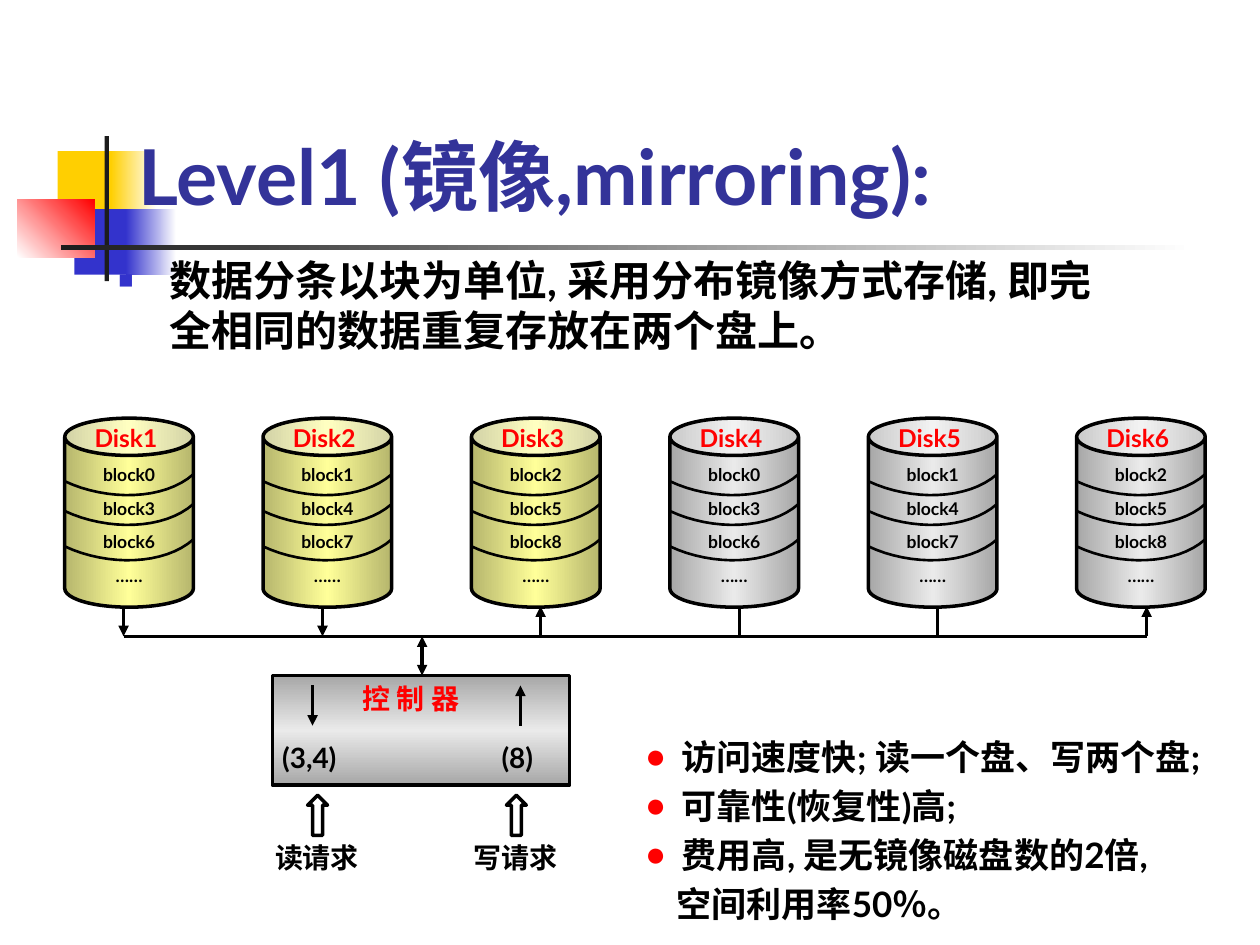
from dataclasses import dataclass

from pptx import Presentation
from pptx.dml.color import RGBColor
from pptx.enum.shapes import MSO_CONNECTOR, MSO_SHAPE
from pptx.enum.text import MSO_ANCHOR, MSO_AUTO_SIZE, PP_ALIGN
from pptx.oxml import parse_xml
from pptx.oxml.ns import nsdecls, qn
from pptx.util import Pt


@dataclass(frozen=True)
class Theme:
    font: str = "Lato"
    black: str = "000000"
    white: str = "FFFFFF"
    red: str = "FF0000"
    yellow: str = "FFCF01"
    blue: str = "3333CC"
    charcoal: str = "1C1C1C"
    title: str = "333399"
    data_disk: tuple = ("B6B66D", "FFFF99", "B6B66D")
    gray_metal: tuple = ("A7A7A7", "EAEAEA", "A7A7A7")
    title_size: int = 44
    body_size: int = 24
    list_size: int = 20
    label_size: int = 16
    disk_size: int = 14
    block_size: int = 10


THEME = Theme()


def write_text(frame, lines, size, color=THEME.black, align=PP_ALIGN.LEFT,
               anchor=MSO_ANCHOR.TOP, wrap=False, margins=(0, 0, 0, 0),
               spacing=1.0, gap=0, indent=0, bullet=None, bullet_color=None,
               bullet_percent=100):
    """Fill a frame; a line given as (text, left margin) has no bullet."""
    frame.auto_size = MSO_AUTO_SIZE.NONE
    frame.word_wrap = wrap
    frame.vertical_anchor = anchor
    (frame.margin_left, frame.margin_top,
     frame.margin_right, frame.margin_bottom) = map(Pt, margins)
    for index, line in enumerate(lines):
        plain = isinstance(line, tuple)
        text, left = line if plain else (line, indent)
        paragraph = frame.paragraphs[0] if index == 0 else frame.add_paragraph()
        paragraph.alignment = align
        paragraph.line_spacing = spacing
        paragraph.space_before = Pt(gap if index else 0)
        properties = paragraph._p.get_or_add_pPr()
        properties.set("marL", str(Pt(left)))
        properties.set("indent", str(0 if plain else -Pt(left)))
        if bullet and not plain:
            for tag in (f'<a:buClr {nsdecls("a")}><a:srgbClr val="{bullet_color}"/></a:buClr>',
                        f'<a:buSzPct {nsdecls("a")} val="{bullet_percent * 1000}"/>',
                        f'<a:buChar {nsdecls("a")} char="{bullet}"/>'):
                properties.append(parse_xml(tag))
        else:
            properties.append(parse_xml(f'<a:buNone {nsdecls("a")}/>'))
        run = paragraph.add_run()
        run.text = text
        run.font.name = THEME.font
        run.font.size = Pt(size)
        run.font.bold = True
        run.font.color.rgb = RGBColor.from_string(color)


def paint(shape, colors=(), angle=0, line_width=0):
    """No colour leaves the shape open, one is solid, more are a gradient."""
    shape.shadow.inherit = False
    if not colors:
        shape.fill.background()
    elif len(colors) == 1:
        shape.fill.solid()
        shape.fill.fore_color.rgb = RGBColor.from_string(colors[0])
    else:
        shape.fill.gradient()
        gradient = shape.element.spPr.find(qn("a:gradFill"))
        for child in list(gradient):
            gradient.remove(child)
        stops = "".join(
            f'<a:gs pos="{100000 * i // (len(colors) - 1)}"><a:srgbClr val="{color}"/></a:gs>'
            for i, color in enumerate(colors))
        gradient.append(parse_xml(f'<a:gsLst {nsdecls("a")}>{stops}</a:gsLst>'))
        gradient.append(parse_xml(f'<a:lin {nsdecls("a")} ang="{angle * 60000}" scaled="0"/>'))
    if line_width:
        shape.line.width = Pt(line_width)
        shape.line.color.rgb = RGBColor.from_string(THEME.black)
    else:
        shape.line.fill.background()


presentation = Presentation()
presentation.slide_width, presentation.slide_height = Pt(720), Pt(540)
slide = presentation.slides.add_slide(presentation.slide_layouts[3])
shapes = slide.shapes

# Corner ornament and title rule
for box, colors, angle in (
    ((33, 86.4, 34.6, 37.4), (THEME.yellow,), 0),
    ((63.4, 86.4, 26, 37.4), (THEME.yellow, THEME.white), 0),
    ((42.5, 119.5, 33, 37.4), (THEME.blue,), 0),
    ((72, 119.5, 28.8, 37.4), (THEME.blue, THEME.white), 0),
    ((10, 113.8, 44, 33.2), (THEME.white, THEME.red), 315),
    ((59.8, 77.8, 2.4, 82.8), (THEME.charcoal,), 0),
    ((34.6, 140.2, 648, 2.4), (THEME.charcoal, THEME.white), 0),
):
    paint(shapes.add_shape(MSO_SHAPE.RECTANGLE, *map(Pt, box)), colors, angle)

# Title, description and conclusions, in front of the ornament
title, description, conclusions = slide.placeholders
for holder, box in ((title, (79.2, 73.4, 547, 52.6)),
                    (description, (67.7, 145.4, 572.4, 57.6)),
                    (conclusions, (368.6, 420.5, 340.6, 110))):
    holder.left, holder.top, holder.width, holder.height = map(Pt, box)
    holder.element.getparent().append(holder.element)
write_text(title.text_frame, ["Level1 (镜像,mirroring):"], THEME.title_size,
           THEME.title, anchor=MSO_ANCHOR.BOTTOM, wrap=True)
write_text(description.text_frame,
           ["数据分条以块为单位, 采用分布镜像方式存储, 即完全相同的数据重复存放在两个盘上。"],
           THEME.body_size, wrap=True, indent=29, bullet="■",
           bullet_color=THEME.blue, bullet_percent=60)
write_text(conclusions.text_frame,
           ["访问速度快; 读一个盘、写两个盘;", "可靠性(恢复性)高;",
            "费用高, 是无镜像磁盘数的2倍,", ("空间利用率50％。", 18)],
           THEME.list_size, wrap=True, gap=4, indent=21, bullet="●",
           bullet_color=THEME.red)

# Disks: three with data, three mirrors
disk_top, disk_width, disk_height = 239, 73.5, 108
disk_lefts = (37, 150.3, 269.4, 382.8, 496.2, 615.2)
arc_controls = ((0, 36), (24.5, 47.5), (57, 46.8), (disk_width, 32))
arc_steps = 16
labels = []
for number, left in enumerate(disk_lefts):
    first_block = number % 3
    disk = shapes.add_shape(MSO_SHAPE.CAN, Pt(left), Pt(disk_top),
                            Pt(disk_width), Pt(disk_height))
    disk.adjustments[0] = 0.29
    paint(disk, THEME.data_disk if number < 3 else THEME.gray_metal, line_width=2)
    write_text(disk.text_frame,
               [f"block{first_block + step}" for step in (0, 3, 6)] + ["……"],
               THEME.block_size, align=PP_ALIGN.CENTER, anchor=MSO_ANCHOR.MIDDLE,
               margins=(7.2, 0, 7.2, 3.6), spacing=1.6)
    for drop in (0, 17, 37.2):
        points = []
        for step in range(arc_steps + 1):
            t = step / arc_steps
            weights = ((1 - t) ** 3, 3 * t * (1 - t) ** 2, 3 * t * t * (1 - t), t ** 3)
            x = sum(w * point[0] for w, point in zip(weights, arc_controls))
            y = sum(w * point[1] for w, point in zip(weights, arc_controls))
            points.append((Pt(left + x), Pt(disk_top + drop + y)))
        arc = shapes.build_freeform(*points[0])
        arc.add_line_segments(points[1:], close=False)
        paint(arc.convert_to_shape(), line_width=1.5)
    labels.append((f"Disk{number + 1}", (left + 17, 242, 39.6, 16.8),
                   THEME.disk_size, THEME.red, PP_ALIGN.LEFT))

# Controller and request arrows
controller = shapes.add_shape(MSO_SHAPE.RECTANGLE, Pt(155.6), Pt(386), Pt(170), Pt(62.6))
paint(controller, THEME.gray_metal, 90, 2)
for left in (175.8, 289.4):
    request = shapes.add_shape(MSO_SHAPE.UP_ARROW, Pt(left), Pt(454.4), Pt(11.4), Pt(23))
    paint(request, line_width=2)

# Labels
labels += [
    ("控 制 器", (207.2, 389.5, 62.6, 19.2), THEME.label_size, THEME.red, PP_ALIGN.LEFT),
    ("(3,4)", (161.3, 423.4, 45.4, 19.2), THEME.label_size, THEME.black, PP_ALIGN.LEFT),
    ("(8)", (286.6, 423.4, 28, 19.2), THEME.label_size, THEME.black, PP_ALIGN.LEFT),
    ("读请求", (155.6, 480.2, 51, 19.2), THEME.label_size, THEME.black, PP_ALIGN.CENTER),
    ("写请求", (269.3, 480.2, 51, 19.2), THEME.label_size, THEME.black, PP_ALIGN.CENTER),
]
for text, box, size, color, align in labels:
    label = shapes.add_textbox(*map(Pt, box))
    write_text(label.text_frame, [text], size, color, align)

# Bus, disk stems and controller arrows: x1, y1, x2, y2, width, arrowheads
bus_y, stem_top = 363.6, 346.5
stems = zip((70.6, 184.3, 308.9, 422.6, 535.7, 655.2), (2, 2, 2, 1.75, 1.75, 2),
            (("tail",), ("tail",), ("head",), (), (), ("head",)))
wires = [(x, stem_top, x, bus_y, width, heads) for x, width, heads in stems]
wires += [
    (70.6, bus_y, 655.2, bus_y, 2, ()),
    (241.2, bus_y, 241.2, 386, 2, ("head", "tail")),
    (178.6, 391.7, 178.6, 414.7, 2, ("tail",)),
    (297.4, 391.7, 297.4, 414.7, 2, ("head",)),
]
for *ends, width, heads in wires:
    wire = shapes.add_connector(MSO_CONNECTOR.STRAIGHT, *map(Pt, ends))
    wire.line.width = Pt(width)
    wire.line.color.rgb = RGBColor.from_string(THEME.black)
    outline = wire.element.spPr.find(qn("a:ln"))
    for end in heads:
        outline.append(parse_xml(f'<a:{end}End {nsdecls("a")} type="triangle"/>'))
    wire.element.spPr.append(parse_xml(f'<a:effectLst {nsdecls("a")}/>'))

presentation.save("out.pptx")
